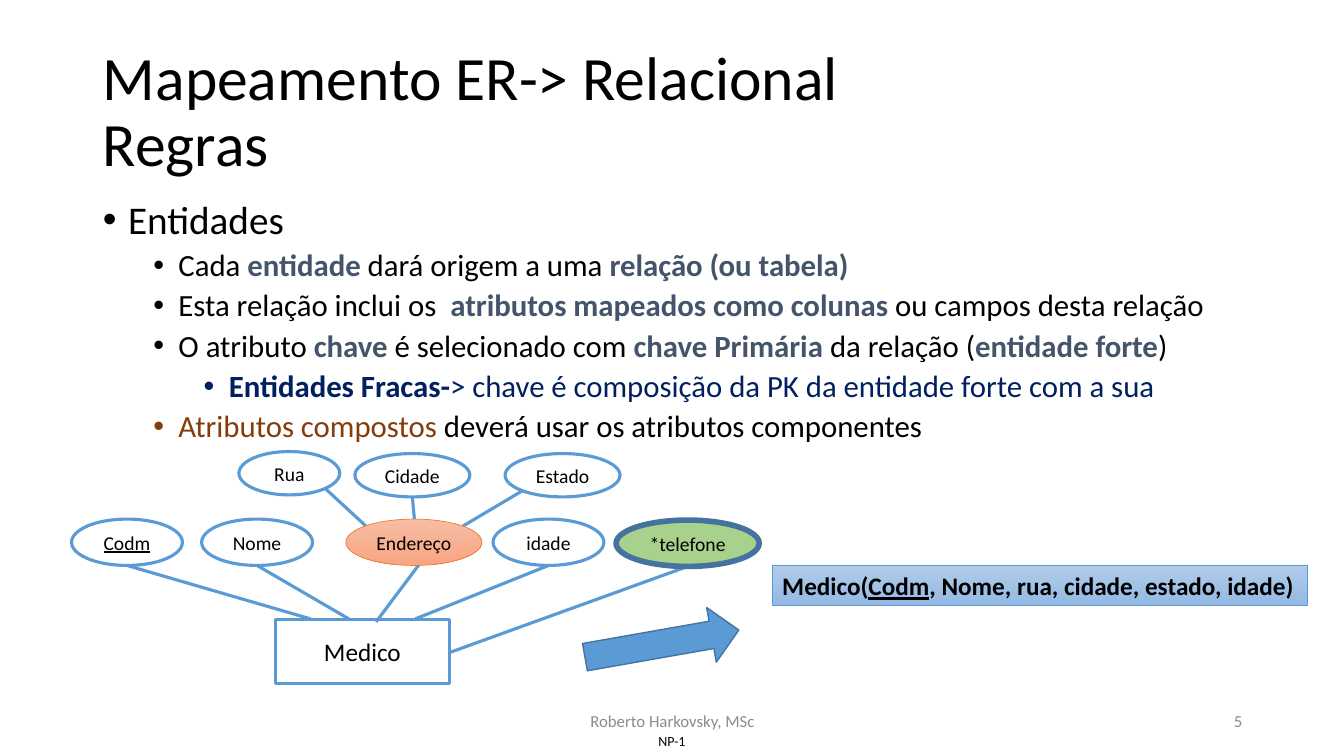
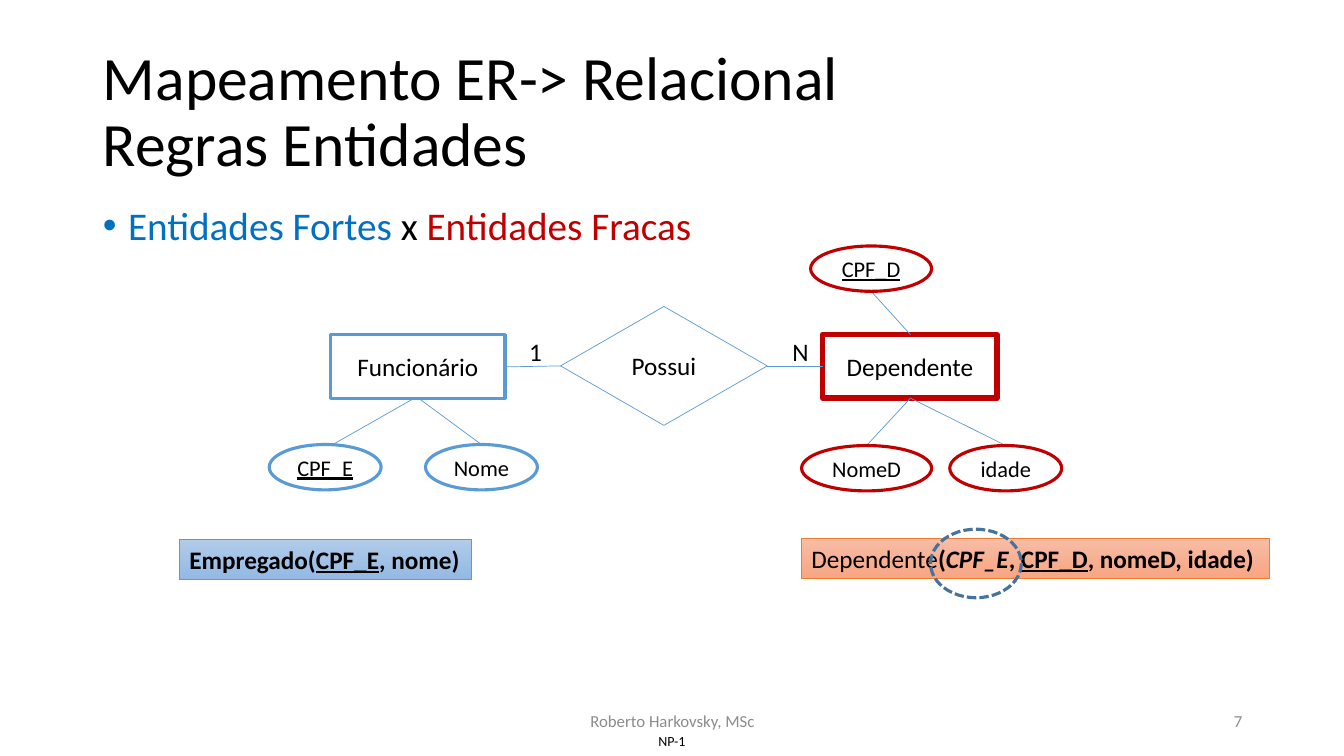
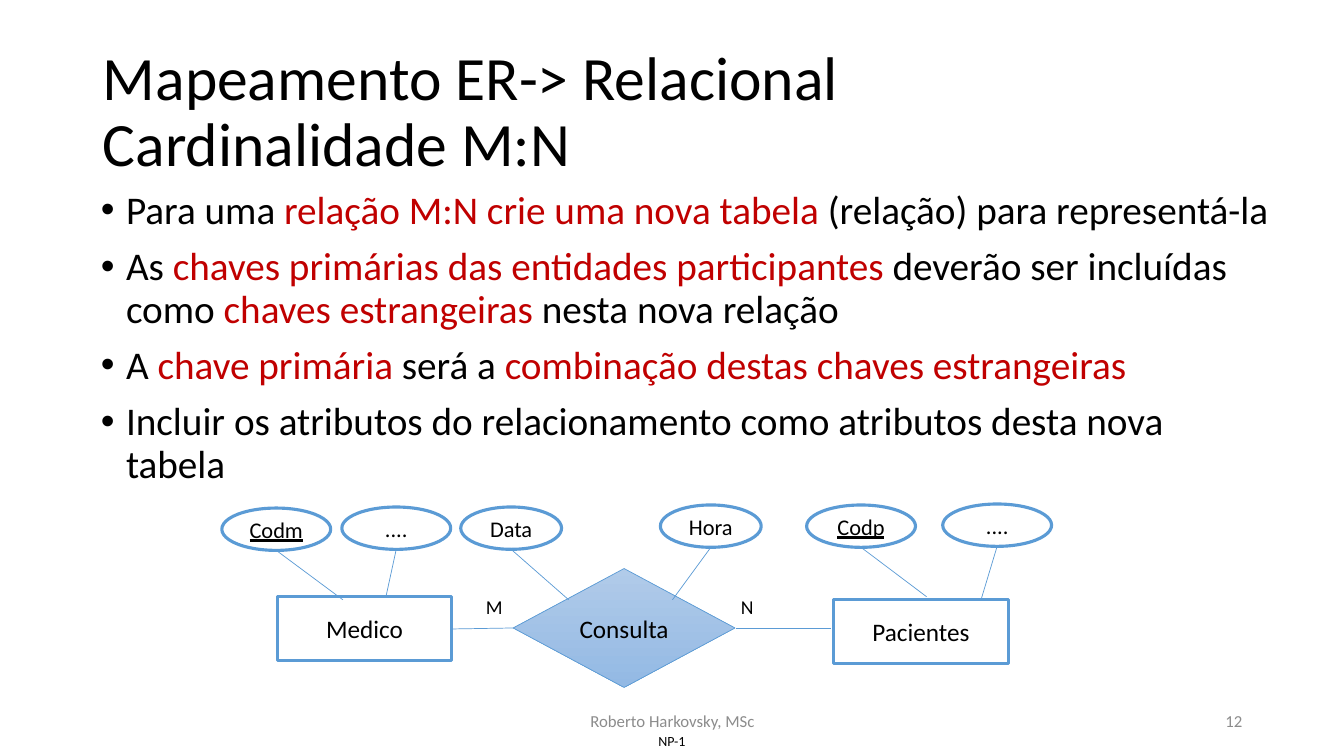
from pptx import Presentation
from pptx.dml.color import RGBColor
from pptx.enum.dml import MSO_LINE_DASH_STYLE as Dash
from pptx.enum.shapes import MSO_CONNECTOR, MSO_SHAPE as Shape
from pptx.enum.text import MSO_ANCHOR as Anchor, MSO_AUTO_SIZE as AutoSize, PP_ALIGN as Align
from pptx.oxml.ns import qn
from pptx.util import Inches, Pt
from lxml.etree import SubElement

# ---- Shared style ----
FONT = "Calibri"
BLACK, WHITE, GRAY = "000000", "FFFFFF", "8C8C8C"
BLUE, DARK_BLUE, RED, ORANGE, GREEN = "5B9BD5", "43739E", "C00000", "ED7D31", "A9D18E"
BLUE_BLEND, ORANGE_BLEND = ("B1CBE9", "93B9E4"), ("F7BDA5", "F8A582")
STRONG = dict(color="44546A", bold=True)
NAVY = dict(color="002060")
ACCENT = dict(color=RED)
KEY = dict(underline=True)
BOLD = dict(bold=True)
BOLD_KEY = dict(bold=True, underline=True)
TITLE_AREA = (0.92, 0.4, 11.5, 1.45)
AUTHOR, COURSE = "Roberto Harkovsky, MSc", "NP-1"
ENTITY_SIZE = (1.73, 0.63)

# ---- Content ----
# Lists: (level, spans). Entities: (text, left, top, format).
# Attributes: (spans, left, top, width, link target, format); "start" moves the link's origin.
# Links: (start, end). Formulas: (spans, left, top, width, format).
SLIDES = [
    dict(
        number="5", title="Mapeamento ER-> Relacional\nRegras",
        list_area=(0.92, 1.94, 11.5, 2.77),
        items=[
            (0, ["Entidades"]),
            (1, ["Cada ", ("entidade", STRONG), " dará origem a uma ",
                 ("relação (ou tabela) ", STRONG)]),
            (1, ["Esta relação inclui os  ", ("atributos mapeados como colunas ", STRONG),
                 "ou campos desta relação "]),
            (1, ["O atributo ", ("chave", STRONG), " é selecionado com ",
                 ("chave Primária ", STRONG), "da relação (", ("entidade forte", STRONG), ")"]),
            (2, [("Entidades Fracas-", dict(NAVY, bold=True)),
                 ("> chave é composição da PK da entidade forte com a sua", NAVY)]),
            (1, [("Atributos compostos ", dict(color="843C0B")),
                 "deverá usar os atributos componentes"]),
        ],
        entities=[("Medico", 2.73, 6.15, {})],
        attribute_height=0.46, attribute_size=14, link_width=2.25,
        attributes=[
            ([("Codm", KEY)], 0.71, 5.15, 1.1, (3.08, 6.14), {}),
            (["Nome"], 2, 5.15, 1.1, (3.46, 6.14), {}),
            (["idade"], 4.89, 5.15, 1.1, (4.12, 6.14), {}),
            (["Rua"], 2.37, 4.48, 1, (3.63, 5.22), dict(start=(3.23, 4.85), height=0.43)),
            (["Cidade"], 3.52, 4.5, 1.14, (4.11, 5.15), dict(height=0.43)),
            (["Estado"], 5.01, 4.5, 1.14, (4.59, 5.22), dict(start=(5.18, 4.87), height=0.43)),
            (["Endereço"], 3.43, 5.15, 1.35, (3.73, 6.17),
             dict(start=(4.24, 5.49), fill=ORANGE_BLEND, line=ORANGE, weight=0.5)),
            (["*telefone"], 6.11, 5.16, 1.42, (4.47, 6.47),
             dict(fill=GREEN, line=DARK_BLUE, weight=4)),
        ],
        formulas=[([("Medico(", BOLD), ("Codm", BOLD_KEY),
                    (", Nome, rua, cidade, estado, idade)", BOLD)], 7.66, 5.61, 5.31, {})],
    ),
    dict(
        number="7", title="Mapeamento ER-> Relacional\nRegras Entidades",
        list_area=(0.92, 2, 11.5, 0.67),
        items=[(0, [("Entidades Fortes ", dict(color="0070C0")), "x ",
                    ("Entidades Fracas", ACCENT)])],
        entities=[("Funcionário", 3.28, 3.32, {}),
                  ("Dependente", 8.16, 3.32, dict(fill=None, line=RED, weight=4))],
        relation=("Possui", (5.56, 3.04, 2.05, 1.18), None),
        links=[((5.01, 3.64), (5.56, 3.63)), ((7.61, 3.63), (8.16, 3.63))],
        cardinalities=[("1", 5.15, 3.29, 0.33), ("N", 7.76, 3.29, 0.36)], cardinality_size=18,
        attribute_height=0.45, attribute_size=16, link_width=0.5,
        attributes=[
            (["NomeD"], 7.95, 4.42, 1.29, (9.03, 3.95), dict(line=RED)),
            (["idade"], 9.42, 4.42, 1.11, (9.03, 3.95), dict(line=RED)),
            ([("CPF_E", KEY)], 2.67, 4.41, 1.11, (4.11, 3.95), dict(start=(3.09, 4.53))),
            (["Nome"], 4.22, 4.41, 1.11, (4.15, 3.95), {}),
            ([("CPF_D", KEY)], 8.04, 2.44, 1.2, (9.03, 3.32), dict(line=RED)),
        ],
        formulas=[
            ([("Empregado(", BOLD), ("CPF_E", BOLD_KEY), (", nome)", BOLD)],
             1.78, 5.35, 2.9, {}),
            (["Dependente", ("(", BOLD), ("CPF_E", dict(bold=True, italic=True)), (", ", BOLD),
              ("CPF_D", BOLD_KEY), (", nomeD, idade)", BOLD)],
             7.95, 5.34, 4.64, dict(fill=ORANGE_BLEND, line=ORANGE)),
        ],
    ),
    dict(
        number="12", title="Mapeamento ER-> Relacional \nCardinalidade M:N",
        list_area=(0.9, 1.84, 11.81, 3.09),
        items=[
            (0, ["Para uma ", ("relação M:N crie uma nova tabela ", ACCENT),
                 "(relação) para representá-la"]),
            (0, ["As ", ("chaves primárias das entidades participantes ", ACCENT),
                 "deverão ser incluídas como ", ("chaves estrangeiras ", ACCENT),
                 "nesta nova relação"]),
            (0, ["A ", ("chave primária ", ACCENT), "será a ",
                 ("combinação destas chaves estrangeiras", ACCENT)]),
            (0, ["Incluir os atributos do relacionamento como atributos desta nova tabela"]),
        ],
        entities=[("Medico", 2.75, 5.92, {}), ("Pacientes", 8.27, 5.95, {})],
        relation=("Consulta", (5.09, 5.64, 2.2, 1.18), BLUE_BLEND),
        links=[((4.48, 6.24), (5.09, 6.23)), ((7.3, 6.23), (8.24, 6.23))],
        cardinalities=[("M", 4.72, 5.85, 0.37), ("N", 7.25, 5.85, 0.33)], cardinality_size=14,
        attribute_height=0.42, attribute_size=16, link_width=0.5,
        attributes=[
            (["Data"], 4.57, 5.03, 1, (5.64, 5.95), {}),
            (["Hora"], 6.55, 5.01, 1, (6.67, 5.95), {}),
            ([("Codm", KEY)], 2.2, 5.04, 1.08, (3.4, 5.95), {}),
            ([("Codp", KEY)], 8, 5.01, 1.08, (9.19, 5.92), {}),
            (["...."], 3.39, 5.03, 1.08, (3.83, 5.91), {}),
            (["...."], 9.35, 5, 1.08, (9.73, 5.95), {}),
        ],
        formulas=[],
    ),
]


# ---- Helpers ----
def rgb(value):
    return RGBColor.from_string(value)


def place(shape, area):
    shape.left, shape.top, shape.width, shape.height = map(Inches, area)


def write(para, spans, size=18, color=BLACK, align=Align.LEFT):
    """Add spans, each a string or (string, format); a newline breaks the line."""
    para.alignment = align
    for part in spans:
        text, style = (part, {}) if isinstance(part, str) else part
        for index, line in enumerate(text.split("\n")):
            if index:
                para.add_line_break()
            span = para.add_run()
            span.text = line
            font = span.font
            font.name, font.size = FONT, Pt(size)
            font.color.rgb = rgb(style.get("color", color))
            font.bold = style.get("bold", False)
            font.italic = style.get("italic", False)
            font.underline = style.get("underline", False)


def add_text(page, area, spans, wrap=True, anchor=Anchor.MIDDLE, margin=None, **text_format):
    box = page.shapes.add_textbox(*map(Inches, area))
    frame = box.text_frame
    frame.word_wrap, frame.vertical_anchor = wrap, anchor
    if margin is not None:
        frame.margin_left = frame.margin_right = Inches(margin)
        frame.margin_top = frame.margin_bottom = Inches(margin)
    write(frame.paragraphs[0], spans, **text_format)


def add_node(page, kind, area, spans=(), fill=WHITE, line=BLUE, weight=2.25, **text_format):
    node = page.shapes.add_shape(kind, *map(Inches, area))
    node.shadow.inherit = False
    if fill is None:
        node.fill.background()
    elif isinstance(fill, tuple):
        node.fill.gradient()
        node.fill.gradient_angle = 270
        for stop, color in zip(node.fill.gradient_stops, fill):
            stop.color.rgb = rgb(color)
    else:
        node.fill.solid()
        node.fill.fore_color.rgb = rgb(fill)
    node.line.color.rgb = rgb(line)
    node.line.width = Pt(weight)
    node.text_frame.vertical_anchor = Anchor.MIDDLE
    text_format.setdefault("align", Align.CENTER)
    write(node.text_frame.paragraphs[0], spans, **text_format)
    return node


def add_link(page, start, end, weight):
    link = page.shapes.add_connector(MSO_CONNECTOR.STRAIGHT, *map(Inches, start + end))
    link.line.color.rgb = rgb(BLUE)
    link.line.width = Pt(weight)
    SubElement(link._element.spPr, qn("a:effectLst"))


def add_attribute(page, slide, spans, left, top, width, target, options):
    options = dict(options)
    height = options.pop("height", slide["attribute_height"])
    edge = top + height if target[1] > top else top
    start = options.pop("start", (left + width / 2, edge))
    add_link(page, start, target, slide["link_width"])
    add_node(page, Shape.OVAL, (left, top, width, height), spans,
             size=slide["attribute_size"], **options)


def add_formula(page, spans, left, top, width, options):
    style = dict(dict(fill=BLUE_BLEND, line=BLUE), **options)
    box = add_node(page, Shape.RECTANGLE, (left, top, width, 0.4), spans,
                   weight=0.5, align=Align.LEFT, **style)
    frame = box.text_frame
    frame.word_wrap, frame.vertical_anchor = False, Anchor.TOP
    frame.auto_size = AutoSize.SHAPE_TO_FIT_TEXT


def fill_list(body, items):
    frame = body.text_frame
    frame.auto_size, frame.vertical_anchor = AutoSize.NONE, Anchor.TOP
    for index, (level, spans) in enumerate(items):
        para = frame.add_paragraph() if index else frame.paragraphs[0]
        para.level = level
        para.line_spacing = 0.9
        para.space_before = Pt(5 if level else 10)
        write(para, spans, size=22 if level else 28)
        props = para._p.get_or_add_pPr()
        props.set("marL", str(Inches(0.25 + 0.5 * level)))
        props.set("indent", str(-Inches(0.25)))
        SubElement(props, qn("a:buFont")).set("typeface", "Arial")
        SubElement(props, qn("a:buChar")).set("char", "•")


def start_page(deck, slide):
    page = deck.slides.add_slide(deck.slide_layouts[1])
    title, body = page.placeholders
    place(title, TITLE_AREA)
    title.text_frame.vertical_anchor = Anchor.MIDDLE
    title.text_frame.auto_size = AutoSize.NONE
    heading = title.text_frame.paragraphs[0]
    heading.line_spacing = 0.9
    write(heading, [slide["title"]], size=44)
    place(body, slide["list_area"])
    fill_list(body, slide["items"])
    # Footer
    add_text(page, (6.38, 7.21, 0.57, 0.29), [COURSE], size=10, margin=0, align=Align.CENTER)
    add_text(page, (4.42, 6.95, 4.5, 0.4), [AUTHOR], size=12, color=GRAY, align=Align.CENTER)
    add_text(page, (9.42, 6.95, 3, 0.4), [slide["number"]], size=12, color=GRAY,
             align=Align.RIGHT)
    return page


def draw_diagram(page, slide):
    for text, left, top, options in slide["entities"]:
        add_node(page, Shape.RECTANGLE, (left, top) + ENTITY_SIZE, [text], **options)
    if "relation" in slide:
        text, area, fill = slide["relation"]
        add_node(page, Shape.FLOWCHART_DECISION, area, [text], fill=fill, weight=0.5)
        for start, end in slide["links"]:
            add_link(page, start, end, slide["link_width"])
        size = slide["cardinality_size"]
        for text, left, top, width in slide["cardinalities"]:
            add_text(page, (left, top, width, 0.4 if size == 18 else 0.34), [text],
                     wrap=False, anchor=Anchor.TOP, size=size)
    for attribute in slide["attributes"]:
        add_attribute(page, slide, *attribute)
    for formula in slide["formulas"]:
        add_formula(page, *formula)


# ---- Build ----
deck = Presentation()
deck.slide_width, deck.slide_height = Inches(13.33), Inches(7.5)
pages = []
for slide in SLIDES:
    page = start_page(deck, slide)
    draw_diagram(page, slide)
    pages.append(page)

# Arrow from the diagram to its relation
arrow = add_node(pages[0], Shape.RIGHT_ARROW, (5.79, 6.11, 1.55, 0.55),
                 fill=BLUE, line=DARK_BLUE, weight=1)
arrow.rotation = 350

# Ring around the borrowed key
ring = add_node(pages[1], Shape.OVAL, (9.23, 5.25, 0.9, 0.68), fill=None, line=DARK_BLUE)
ring.line.dash_style = Dash.SQUARE_DOT

deck.save("out.pptx")
